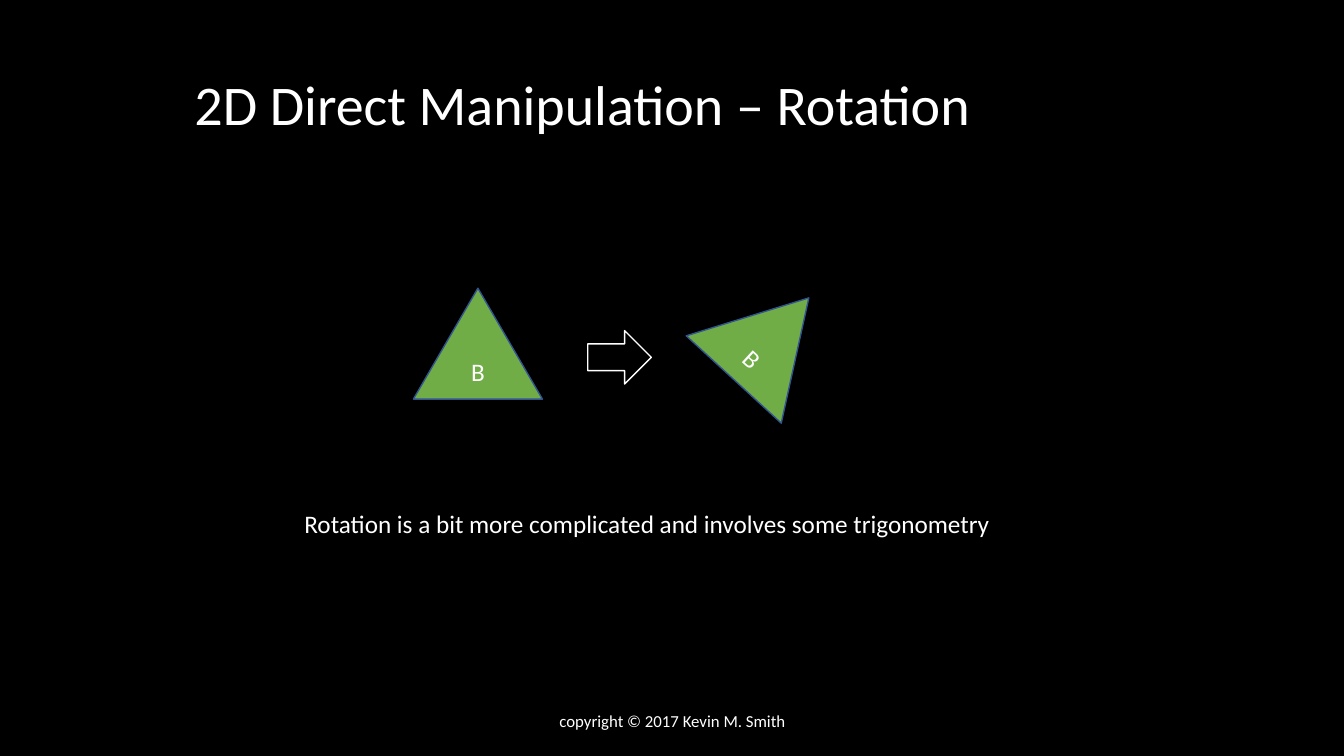
from dataclasses import dataclass

import pptx
import pptx.dml.color
import pptx.enum.shapes
import pptx.enum.text
import pptx.util
from pptx.util import Inches

SHAPES = pptx.enum.shapes.MSO_SHAPE
ALIGN = pptx.enum.text.PP_ALIGN
ANCHOR = pptx.enum.text.MSO_ANCHOR
AUTO_SIZE = pptx.enum.text.MSO_AUTO_SIZE


@dataclass(frozen=True)
class Theme:
    font: str = "Calibri"
    background: str = "000000"
    text: str = "FFFFFF"
    triangle: str = "70AD47"
    triangle_line: str = "325491"
    title_size: int = 40
    body_size: int = 18
    footer_size: int = 12
    line_width: int = 1


THEME = Theme()


def color(value):
    return pptx.dml.color.RGBColor.from_string(value)


def set_text(shape, text, size, alignment=ALIGN.LEFT, anchor=ANCHOR.TOP):
    frame = shape.text_frame
    frame.text = text
    frame.vertical_anchor = anchor
    paragraph = frame.paragraphs[0]
    paragraph.alignment = alignment
    font = paragraph.runs[0].font
    font.name = THEME.font
    font.size = pptx.util.Pt(size)
    font.color.rgb = color(THEME.text)


def add_text_line(slide, box, text, size):
    shape = slide.shapes.add_textbox(*map(Inches, box))
    set_text(shape, text, size)
    shape.text_frame.word_wrap = False
    shape.text_frame.auto_size = AUTO_SIZE.SHAPE_TO_FIT_TEXT


def add_footer(slide, box, text):
    shape = slide.shapes.add_textbox(*map(Inches, box))
    shape.text_frame.word_wrap = True
    set_text(shape, text, THEME.footer_size, ALIGN.CENTER, ANCHOR.MIDDLE)


def add_outlined_shape(group, kind, box, line_color):
    shape = group.shapes.add_shape(kind, *map(Inches, box))
    shape.shadow.inherit = False
    shape.fill.background()
    shape.line.color.rgb = color(line_color)
    shape.line.width = pptx.util.Pt(THEME.line_width)
    return shape


def add_triangle(group, box, rotation=0):
    triangle = add_outlined_shape(group, SHAPES.ISOSCELES_TRIANGLE, box, THEME.triangle_line)
    triangle.fill.solid()
    triangle.fill.fore_color.rgb = color(THEME.triangle)
    triangle.rotation = rotation
    set_text(triangle, "B", THEME.body_size, ALIGN.CENTER, ANCHOR.MIDDLE)


def add_rotation_diagram(slide, left, top):
    group = slide.shapes.add_group_shape()
    width, height = 1.28, 1.1
    add_triangle(group, (left + 2.91, top - 0.05, width, height), 42.6)
    add_triangle(group, (left, top, width, height))
    arrow_box = (left + 1.73, top + 0.42, 0.63, 0.53)
    add_outlined_shape(group, SHAPES.RIGHT_ARROW, arrow_box, THEME.text)


def build_slide(presentation):
    slide = presentation.slides.add_slide(presentation.slide_layouts[6])
    slide.background.fill.solid()
    slide.background.fill.fore_color.rgb = color(THEME.background)
    add_text_line(slide, (1.83, 0.64, 7.98, 0.77),
                  "2D Direct Manipulation – Rotation", THEME.title_size)
    add_rotation_diagram(slide, 4.1, 2.86)
    add_text_line(slide, (2.92, 4.99, 7.08, 0.4),
                  "Rotation is a bit more complicated and involves some trigonometry",
                  THEME.body_size)
    add_footer(slide, (4.42, 6.95, 4.5, 0.4), "copyright © 2017 Kevin M. Smith")


def main():
    presentation = pptx.Presentation()
    presentation.slide_width = Inches(13.33)
    presentation.slide_height = Inches(7.5)
    build_slide(presentation)
    presentation.save("out.pptx")


if __name__ == "__main__":
    main()
